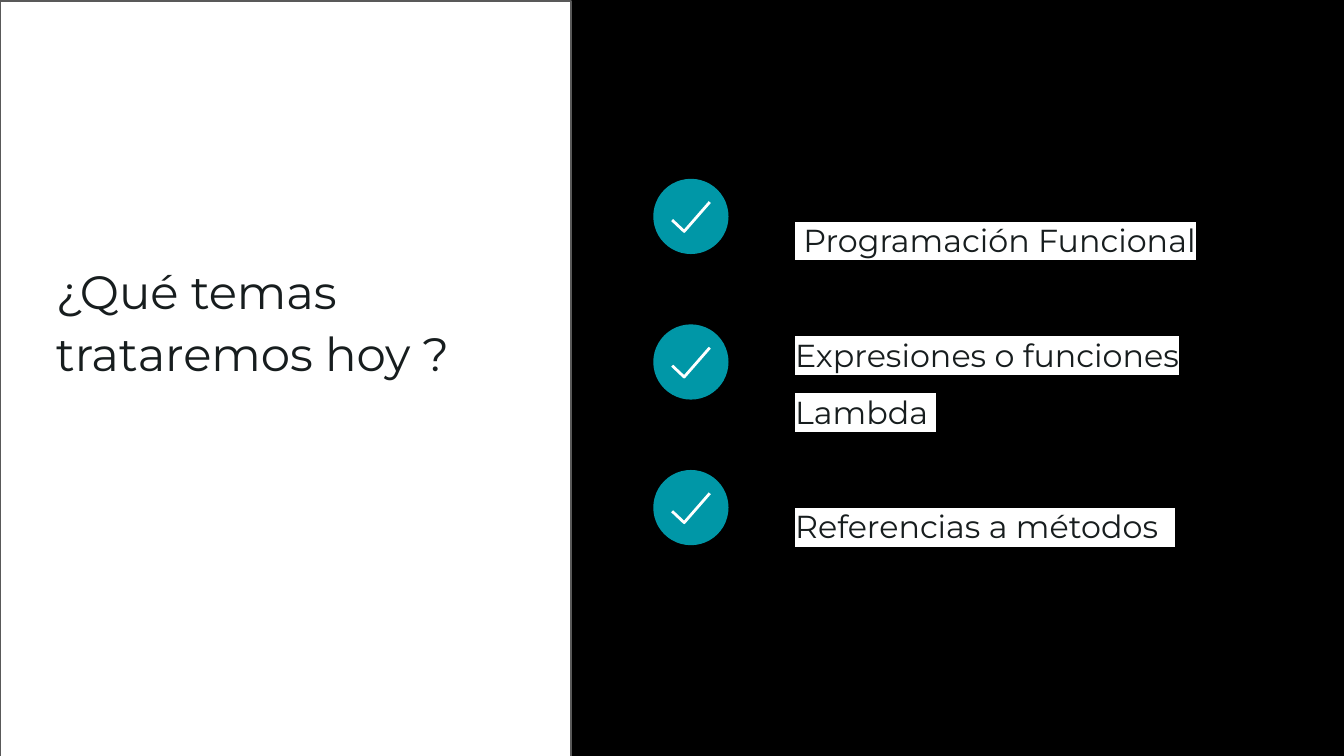
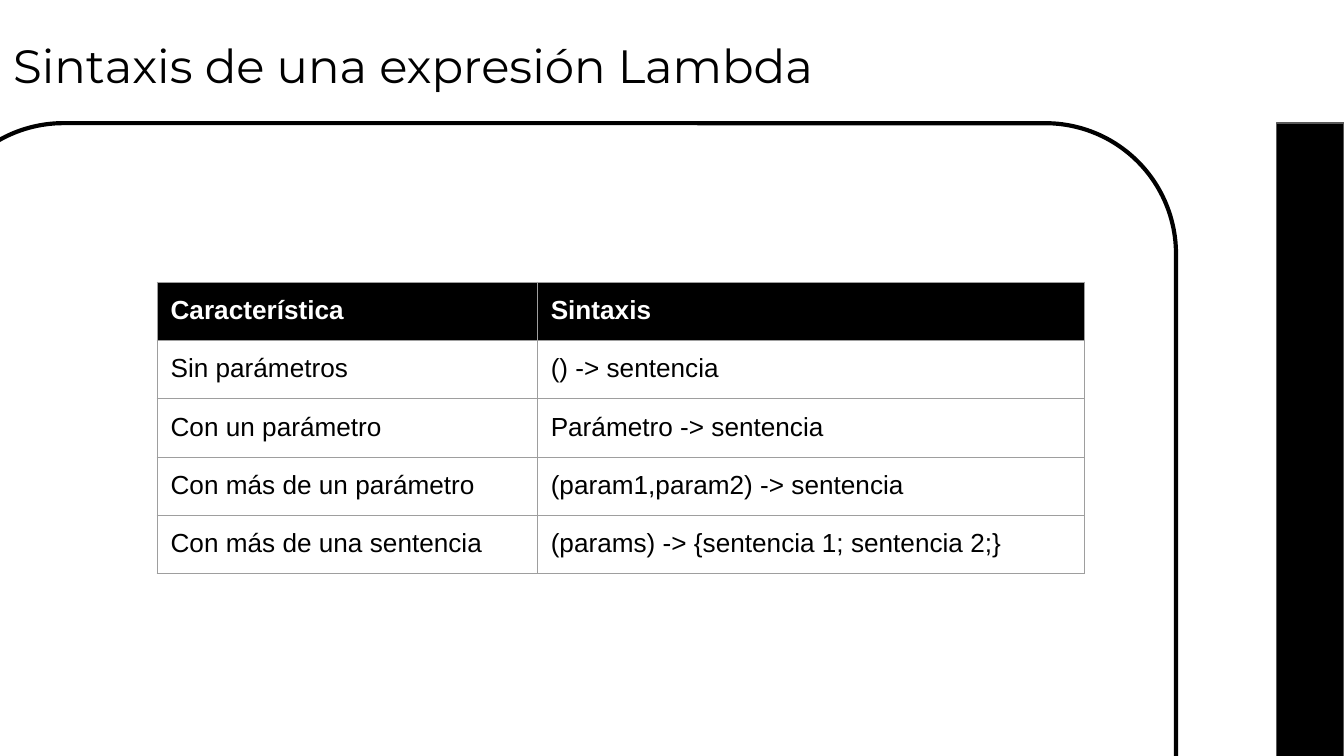
import pptx
import pptx.dml.color
import pptx.enum.shapes
import pptx.oxml
import pptx.oxml.ns
import pptx.util
from lxml import etree

Pt = pptx.util.Pt
SHAPES = pptx.enum.shapes.MSO_SHAPE
WIDTH, HEIGHT = 720, 405
HEADING_FONT, TABLE_FONT = "Montserrat", "Arial"
HEADING_SIZE = 25
COLORS = {
    "black": "000000",
    "white": "FFFFFF",
    "ink": "171D1E",
    "teal": "0097A7",
    "edge": "595959",
    "grid": "9E9E9E",
}
TOPICS = [" Programación Funcional", "Expresiones o funciones Lambda ", "Referencias a métodos  "]
SYNTAX_ROWS = [
    ("Característica", "Sintaxis"),
    ("Sin parámetros", "() -> sentencia"),
    ("Con un parámetro", "Parámetro -> sentencia"),
    ("Con más de un parámetro", "(param1,param2) -> sentencia"),
    ("Con más de una sentencia", "(params) -> {sentencia 1; sentencia 2;}"),
]


def rgb(name):
    return pptx.dml.color.RGBColor.from_string(COLORS[name])


def points(*lengths):
    return [Pt(length) for length in lengths]


def add_page(deck, background):
    page = deck.slides.add_slide(deck.slide_layouts[6])
    page.background.fill.solid()
    page.background.fill.fore_color.rgb = rgb(background)
    return page


def style_shape(shape, fill=None, line=None, line_width=0.75):
    shape.shadow.inherit = False
    if fill:
        shape.fill.solid()
        shape.fill.fore_color.rgb = rgb(fill)
    else:
        shape.fill.background()
    if line:
        shape.line.color.rgb = rgb(line)
        shape.line.width = Pt(line_width)
    else:
        shape.line.fill.background()


def add_panel(shapes, kind, box, **style):
    panel = shapes.add_shape(kind, *points(*box))
    style_shape(panel, **style)


def write_text(frame, text, *, size, font, color, bold=False, highlight=None,
               line_spacing=None, gap=0, inset=0):
    """Fill a frame with one paragraph per line of text, gap points apart."""
    frame.word_wrap = True
    frame.margin_left = frame.margin_right = Pt(inset)
    frame.margin_top = frame.margin_bottom = Pt(inset)
    for index, line in enumerate(text.split("\n")):
        para = frame.add_paragraph() if index else frame.paragraphs[0]
        para.line_spacing = line_spacing
        if index and gap:
            para.space_before = Pt(gap)
        span = para.add_run()
        span.text = line
        span.font.size = Pt(size)
        span.font.name = font
        span.font.bold = bold
        span.font.color.rgb = rgb(color)
        if highlight:
            mark = pptx.oxml.parse_xml(
                f'<a:highlight {pptx.oxml.ns.nsdecls("a")}>'
                f'<a:srgbClr val="{COLORS[highlight]}"/></a:highlight>')
            # The schema wants the highlight right after the text fill.
            span.font.fill._xPr.find(pptx.oxml.ns.qn("a:solidFill")).addnext(mark)


def add_text(page, box, text, **style):
    write_text(page.shapes.add_textbox(*points(*box)).text_frame, text, **style)


def add_check(page, box):
    """Draw a tick on a round disc that fills the box."""
    left, top, width, height = box
    group = page.shapes.add_group_shape()
    add_panel(group.shapes, SHAPES.OVAL, box, fill="teal")
    tick = [points(left + x * width, top + y * height)
            for x, y in ((0.25, 0.55), (0.41, 0.7), (0.75, 0.31))]
    builder = group.shapes.build_freeform(*tick[0])
    builder.add_line_segments(tick[1:], close=False)
    style_shape(builder.convert_to_shape(), line="white", line_width=1.5)


def add_question(page, box):
    left, top, width, height = box
    add_panel(page.shapes, SHAPES.RECTANGLE, box, fill="white", line="edge")
    add_text(page, (left + 30, top + 137.5, width - 55.5, 63.5), "¿Qué temas trataremos hoy ?",
             size=HEADING_SIZE, font=HEADING_FONT, color="ink", highlight="white",
             line_spacing=1.1)


def add_topics(page, box):
    left, top, width, height = box
    disc, pitch = 40.3, 78
    for index in range(len(TOPICS)):
        add_check(page, (left, top + index * pitch, disc, disc))
    add_text(page, (left + 76, top + 12.2, width - 76, height - 12.2), "\n".join(TOPICS),
             size=17, font=HEADING_FONT, color="ink", highlight="white",
             line_spacing=1.5, gap=30.8)


def add_heading(page, box, text):
    add_text(page, box, text, size=HEADING_SIZE, font=HEADING_FONT, color="black", inset=7.2)


def add_frame(page, box):
    """Draw the rounded outline running off the left edge and the band on the right."""
    left, top, width, height = box
    add_panel(page.shapes, SHAPES.FLOWCHART_PROCESS, (left + width - 36, top, 36, height),
              fill="black", line="edge")
    add_panel(page.shapes, SHAPES.FLOWCHART_ALTERNATE_PROCESS,
              (left - 36, top, width - 54, height + 80), line="black", line_width=2.25)


def add_borders(cell):
    properties = cell._tc.get_or_add_tcPr()
    for index, side in enumerate(("lnL", "lnR", "lnT", "lnB")):
        border = etree.Element(pptx.oxml.ns.qn(f"a:{side}"), w=str(Pt(0.75)))
        fill = etree.SubElement(border, pptx.oxml.ns.qn("a:solidFill"))
        etree.SubElement(fill, pptx.oxml.ns.qn("a:srgbClr"), val=COLORS["grid"])
        properties.insert(index, border)


def add_syntax_table(page, box):
    left, top, width, height = box
    table = page.shapes.add_table(len(SYNTAX_ROWS), 2, *points(*box)).table
    table.first_row = table.horz_banding = False
    for column, share in zip(table.columns, (0.41, 0.59)):
        column.width = Pt(width * share)
    for row_index, texts in enumerate(SYNTAX_ROWS):
        table.rows[row_index].height = Pt(height / len(SYNTAX_ROWS))
        header = row_index == 0
        for column_index, text in enumerate(texts):
            cell = table.cell(row_index, column_index)
            cell.margin_left = cell.margin_right = Pt(7.2)
            cell.margin_top = cell.margin_bottom = Pt(7.2)
            write_text(cell.text_frame, text, size=14, font=TABLE_FONT, bold=header,
                       color="white" if header else "black", inset=7.2)
            if header:
                cell.fill.solid()
                cell.fill.fore_color.rgb = rgb("black")
            else:
                cell.fill.background()
            add_borders(cell)


def build_agenda(deck):
    page = add_page(deck, "black")
    add_question(page, (0, 0.6, 306, 407.4))
    add_topics(page, (350, 95.8, 334, 224.6))


def build_syntax(deck):
    page = add_page(deck, "white")
    add_frame(page, (0, 66, WIDTH, 340))
    add_heading(page, (0, 12.4, 644.4, 48), "Sintaxis de una expresión Lambda")
    add_syntax_table(page, (84.2, 151.2, 496.8, 150.5))


def main():
    deck = pptx.Presentation()
    deck.slide_width, deck.slide_height = points(WIDTH, HEIGHT)
    build_agenda(deck)
    build_syntax(deck)
    deck.save("out.pptx")


if __name__ == "__main__":
    main()
